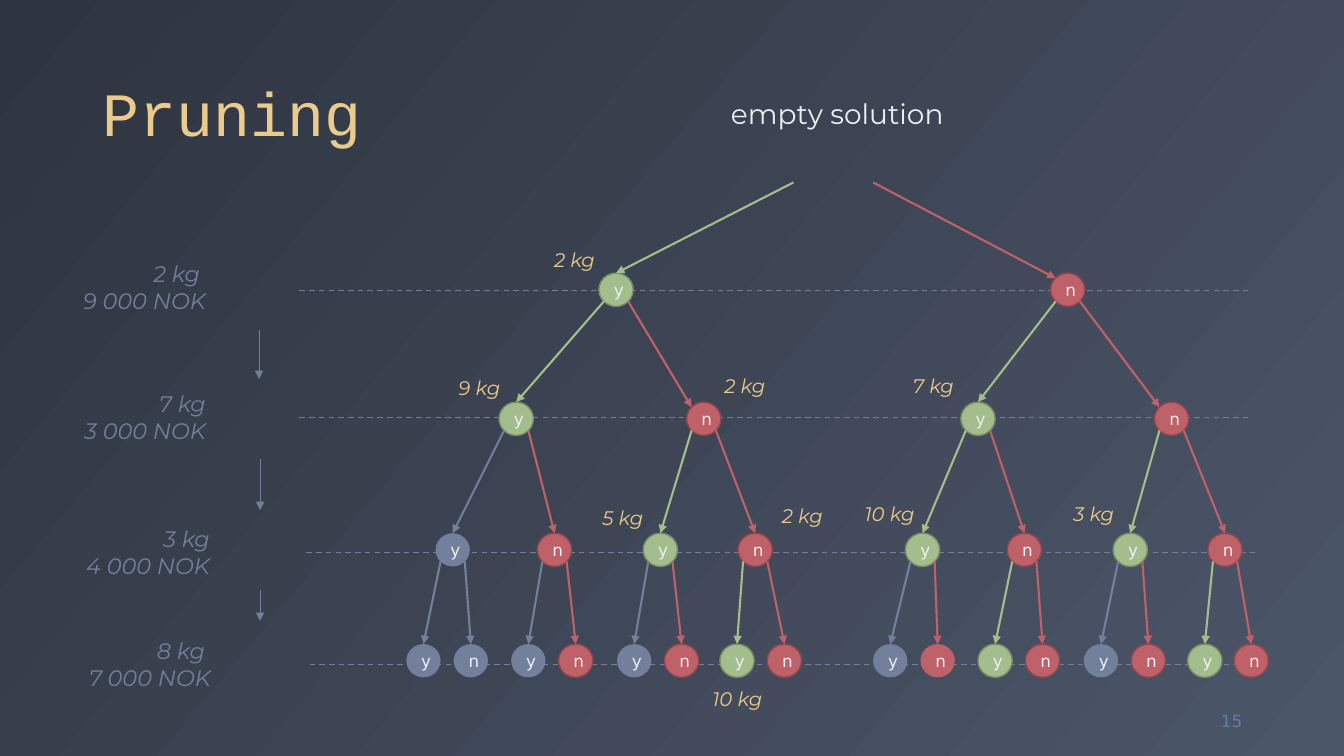
from lxml import etree
from pptx import Presentation
from pptx.dml.color import RGBColor
from pptx.enum import dml, shapes, text
from pptx.oxml.ns import qn
from pptx.util import Inches, Pt

HUES = {"dark": "2E3440", "slate": "4C5669", "gray": "73809B", "green": "A3BE8C",
        "moss": "798D68", "red": "BF6169", "wine": "8D484E", "gold": "EBCB8B",
        "white": "ECEFF3", "blue": "5E81AC"}

# Node states: fill and outline
STATES = {"g": ("green", "moss"), "r": ("red", "wine"), "p": ("red", None),
          "x": ("gray", None)}

# Tree levels: top, states, left edges; node i has children 2i and 2i + 1
LEVELS = [
    (2.71, "gr", [5.94, 10.42]),
    (3.99, "grgr", [4.95, 6.81, 9.53, 11.45]),
    (5.29, "xrgrgrgr", [4.32, 5.33, 6.38, 7.32, 8.98, 9.99, 11.04, 11.98]),
    (6.39, "xxxrxrgrxpgrxrgr",
     [4.03, 4.5, 5.07, 5.54, 6.12, 6.59, 7.14, 7.61,
      8.66, 9.13, 9.7, 10.17, 10.75, 11.22, 11.78, 12.24]),
]
ROOTS = [(7.87, 1.81), (8.66, 1.81)]
WIDE, HIGH = 0.34, 0.33
NEAR, FAR, LOW = 0.05, 0.29, 0.28  # where edges touch a node

# Dashed level lines: left, right, height
DASHES = [(2.97, 12.42, 2.88), (2.97, 12.39, 4.14),
          (3.04, 12.46, 5.48), (3.07, 12.49, 6.59)]
# Arrows between items: x, top, bottom
STEPS = [(2.57, 3.27, 3.76), (2.58, 4.55, 5.06), (2.58, 5.85, 6.16)]

ITEMS = [
    (["2 kg ", "9 000 NOK"], (0.71, 2.53, 1.43, 0.64)),
    (["7 kg", "3 000 NOK"], (0.72, 3.82, 1.42, 0.64)),
    (["3 kg", "4 000 NOK"], (0.73, 5.16, 1.45, 0.64)),
    (["8 kg ", "7 000 NOK"], (0.76, 6.27, 1.43, 0.64)),
]
LOADS = [("2 kg", 5.38, 2.41), ("9 kg", 4.44, 3.68), ("2 kg", 7.07, 3.66),
         ("5 kg", 5.86, 4.97), ("10 kg", 6.96, 6.77), ("2 kg", 7.64, 4.95),
         ("7 kg", 8.94, 3.66), ("10 kg", 8.47, 4.93), ("3 kg", 10.53, 4.93)]

LEFT, MID, RIGHT = text.PP_ALIGN.LEFT, text.PP_ALIGN.CENTER, text.PP_ALIGN.RIGHT
TOP, CORE, BASE = (text.MSO_ANCHOR.TOP, text.MSO_ANCHOR.MIDDLE,
                   text.MSO_ANCHOR.BOTTOM)

deck = Presentation()
deck.slide_width, deck.slide_height = Inches(13.33), Inches(7.5)
slide = deck.slides.add_slide(deck.slide_layouts[6])


def tint(name):
    return RGBColor.from_string(HUES[name])


def write(frame, lines, hue, size, face, align, **more):
    for i, line in enumerate(lines):
        para = frame.paragraphs[0] if i == 0 else frame.add_paragraph()
        para.alignment = align
        run = para.add_run()
        run.text = line
        for key, val in {"size": Pt(size), "name": face, **more}.items():
            setattr(run.font, key, val)
        run.font.color.rgb = tint(hue)


def label(lines, box, hue, size, face="Montserrat", align=RIGHT, anchor=TOP,
          wrap=False, **more):
    frame = slide.shapes.add_textbox(*map(Inches, box)).text_frame
    fit = text.MSO_AUTO_SIZE
    frame.auto_size = fit.NONE if wrap else fit.SHAPE_TO_FIT_TEXT
    frame.word_wrap = wrap
    frame.vertical_anchor = anchor
    write(frame, lines, hue, size, face, align, **more)
    return frame


def line(start, end, hue, width, dash=False):
    wire = slide.shapes.add_connector(shapes.MSO_CONNECTOR.STRAIGHT,
                                      *map(Inches, (*start, *end)))
    wire.line.color.rgb = tint(hue)
    wire.line.width = Pt(width)
    if dash:
        wire.line.dash_style = dml.MSO_LINE.DASH
    else:
        stroke = wire.line._get_or_add_ln()
        etree.SubElement(stroke, qn("a:tailEnd"), type="triangle")
    etree.SubElement(wire._element.spPr, qn("a:effectLst"))


def node(x, y, mark, state):
    fill, edge = STATES[state]
    dot = slide.shapes.add_shape(shapes.MSO_SHAPE.OVAL,
                                 *map(Inches, (x, y, WIDE, HIGH)))
    dot.shadow.inherit = False
    dot.fill.solid()
    dot.fill.fore_color.rgb = tint(fill)
    if edge:
        dot.line.color.rgb = tint(edge)
        dot.line.width = Pt(1)
    else:
        dot.line.fill.background()
    dot.text_frame.vertical_anchor = CORE
    write(dot.text_frame, [mark], "white", 12, "DejaVu Sans", MID)


# Background
back = slide.background.fill
back.gradient()
back.gradient_angle = 320
for stop, name in zip(back.gradient_stops, ("dark", "slate")):
    stop.color.rgb = tint(name)

# Title, page number and tree root
title = label(["Pruning"], (0.92, 0.18, 11.5, 1.36), "gold", 44, "Courier New",
              LEFT, BASE, True)
title.paragraphs[0].line_spacing = 0.9
label(["15"], (11.59, 6.95, 0.83, 0.4), "blue", 12, "DejaVu Sans",
      anchor=CORE, wrap=True)
label(["empty solution"], (7.14, 0.91, 2.33, 0.44), "white", 20, align=MID)

# Level lines
for x1, x2, y in DASHES:
    line((x1, y), (x2, y), "gray", 1, True)

# Tree: nodes, each with the edge from its parent
starts = ROOTS
for depth, (y, states, lefts) in enumerate(LEVELS):
    for i, (x, state) in enumerate(zip(lefts, states)):
        node(x, y, "yn"[i % 2], state)
        corner = i % 2 and depth < 2
        end = (x + NEAR, y + NEAR) if corner else (x + WIDE / 2, y)
        line(starts[i], end, STATES[state][0], 1.5)
    starts = [(x + side, y + LOW) for x in lefts for side in (NEAR, FAR)]

# Items and the steps between them
for x, y1, y2 in STEPS:
    line((x, y1), (x, y2), "gray", 0.5)
for lines, box in ITEMS:
    label(lines, box, "gray", 16, italic=True)

# Remaining capacity
for load, x, y in LOADS:
    wide = 0.7 if len(load) > 4 else 0.62
    label([load], (x, y, wide, 0.34), "gold", 14, italic=True)

deck.save("out.pptx")
